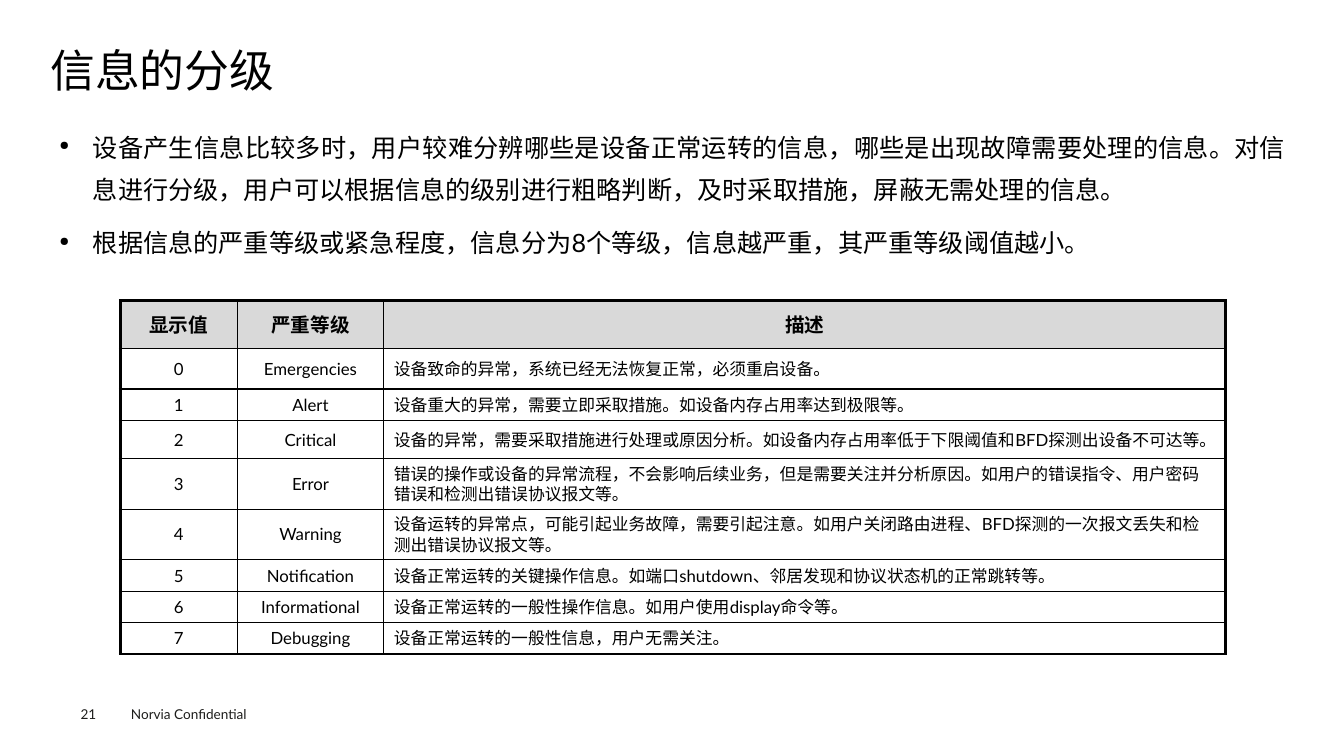
from dataclasses import dataclass

from lxml import etree
from pptx import Presentation
from pptx import util as u
from pptx.dml.color import RGBColor
from pptx.enum import text
from pptx.oxml import ns

BLACK = RGBColor(0x00, 0x00, 0x00)
FOOTER_INK = RGBColor(0x1D, 0x1D, 0x1B)
HEADER_GRAY = RGBColor(0xD9, 0xD9, 0xD9)
WHITE = RGBColor(0xFF, 0xFF, 0xFF)
FONT = "Lato"
OUTER_LINE, INNER_LINE = u.Pt(2.25), u.Pt(1)
BULLET_INDENT = u.Cm(0.84)
CENTER, LEFT, JUSTIFY = text.PP_ALIGN.CENTER, text.PP_ALIGN.LEFT, text.PP_ALIGN.JUSTIFY


@dataclass(frozen=True)
class Box:
    """Place of an element, in centimetres."""
    left: float
    top: float
    width: float
    height: float

    def lengths(self) -> list:
        return [u.Cm(v) for v in (self.left, self.top, self.width, self.height)]


@dataclass(frozen=True)
class Level:
    value: str
    severity: str
    description: str
    height: float


HEADER = Level("显示值", "严重等级", "描述", 1.2)
LEVELS = [
    Level("0", "Emergencies", "设备致命的异常，系统已经无法恢复正常，必须重启设备。", 1.02),
    Level("1", "Alert", "设备重大的异常，需要立即采取措施。如设备内存占用率达到极限等。", 0.79),
    Level("2", "Critical", "设备的异常，需要采取措施进行处理或原因分析。"
          "如设备内存占用率低于下限阈值和BFD探测出设备不可达等。", 0.97),
    Level("3", "Error", "错误的操作或设备的异常流程，不会影响后续业务，但是需要关注并分析原因。"
          "如用户的错误指令、用户密码错误和检测出错误协议报文等。", 1.19),
    Level("4", "Warning", "设备运转的异常点，可能引起业务故障，需要引起注意。"
          "如用户关闭路由进程、BFD探测的一次报文丢失和检测出错误协议报文等。", 1.19),
    Level("5", "Notification", "设备正常运转的关键操作信息。"
          "如端口shutdown、邻居发现和协议状态机的正常跳转等。", 0.8),
    Level("6", "Informational", "设备正常运转的一般性操作信息。如用户使用display命令等。", 0.79),
    Level("7", "Debugging", "设备正常运转的一般性信息，用户无需关注。", 0.79),
]
COLUMN_WIDTHS = (2.95, 3.69, 21.22)
POINTS = [
    "设备产生信息比较多时，用户较难分辨哪些是设备正常运转的信息，哪些是出现故障需要处理的信息。"
    "对信息进行分级，用户可以根据信息的级别进行粗略判断，及时采取措施，屏蔽无需处理的信息。",
    "根据信息的严重等级或紧急程度，信息分为8个等级，信息越严重，其严重等级阈值越小。",
]


def write(paragraph, words: str, *, size: float, color: RGBColor = BLACK, bold: bool = False,
          align=LEFT, spacing: float = 1.0, before: float = 0) -> None:
    paragraph.alignment = align
    paragraph.line_spacing = spacing
    paragraph.space_before = u.Pt(before)
    run = paragraph.add_run()
    run.text = words
    run.font.size, run.font.bold, run.font.name = u.Pt(size), bold, FONT
    run.font.color.rgb = color
    etree.SubElement(run.font._element, ns.qn("a:ea"), typeface=FONT)


def add_frame(slide, box: Box, margins: tuple[float, float] = (0, 0)):
    """Add a wrapping text box; margins are horizontal and vertical."""
    frame = slide.shapes.add_textbox(*box.lengths()).text_frame
    frame.word_wrap = True
    frame.margin_left = frame.margin_right = u.Cm(margins[0])
    frame.margin_top = frame.margin_bottom = u.Cm(margins[1])
    return frame


def add_bullet(paragraph) -> None:
    properties = paragraph._p.get_or_add_pPr()
    properties.set("marL", str(BULLET_INDENT))
    properties.set("indent", str(-BULLET_INDENT))
    etree.SubElement(properties, ns.qn("a:buSzPct"), val="50000")
    etree.SubElement(properties, ns.qn("a:buChar"), char="●")


def add_borders(cell, outer_sides: dict[str, bool]) -> None:
    properties = cell._tc.get_or_add_tcPr()
    for side, is_outer in outer_sides.items():
        width = OUTER_LINE if is_outer else INNER_LINE
        line = etree.SubElement(properties, ns.qn(f"a:ln{side}"), w=str(width))
        fill = etree.SubElement(line, ns.qn("a:solidFill"))
        etree.SubElement(fill, ns.qn("a:srgbClr"), val=str(BLACK))


def add_level_table(slide, left: float, top: float) -> None:
    levels = [HEADER, *LEVELS]
    last_row, last_column = len(levels) - 1, len(COLUMN_WIDTHS) - 1
    box = Box(left, top, sum(COLUMN_WIDTHS), sum(level.height for level in levels))
    table = slide.shapes.add_table(len(levels), len(COLUMN_WIDTHS), *box.lengths()).table
    table.first_row = table.horz_banding = False
    for column, width in zip(table.columns, COLUMN_WIDTHS):
        column.width = u.Cm(width)
    for r, level in enumerate(levels):
        table.rows[r].height = u.Cm(level.height)
        is_header = level is HEADER
        for c, words in enumerate((level.value, level.severity, level.description)):
            cell = table.cell(r, c)
            cell.vertical_anchor = text.MSO_ANCHOR.MIDDLE
            add_borders(cell, {"L": c == 0, "R": c == last_column,
                               "T": r == 0, "B": r == last_row})
            cell.fill.solid()
            cell.fill.fore_color.rgb = HEADER_GRAY if is_header else WHITE
            write(cell.text_frame.paragraphs[0], words, size=14 if is_header else 12,
                  bold=is_header, align=CENTER if is_header or c < last_column else LEFT)


def main() -> None:
    deck = Presentation()
    deck.slide_width, deck.slide_height = u.Cm(33.87), u.Cm(19.05)
    slide = deck.slides.add_slide(deck.slide_layouts[6])

    footer = add_frame(slide, Box(3.05, 17.65, 4.06, 0.69), (0.25, 0.13))
    write(footer.paragraphs[0], "Norvia Confidential", size=9.7, color=FOOTER_INK)
    page_number = add_frame(slide, Box(2.03, 17.78, 1.4, 0.41))
    write(page_number.paragraphs[0], "21", size=9.7, color=FOOTER_INK)

    title = add_frame(slide, Box(1.27, 1.24, 31.37, 1.35))
    write(title.paragraphs[0], "信息的分级", size=32, spacing=0.9)

    body = add_frame(slide, Box(1.27, 2.92, 31.37, 13.56), (0.23, 0.1))
    for i, point in enumerate(POINTS):
        paragraph = body.add_paragraph() if i else body.paragraphs[0]
        add_bullet(paragraph)
        write(paragraph, point, size=18, align=JUSTIFY, spacing=1.4, before=7.9 if i else 0)

    add_level_table(slide, left=3.03, top=7.58)
    deck.save("out.pptx")


if __name__ == "__main__":
    main()
